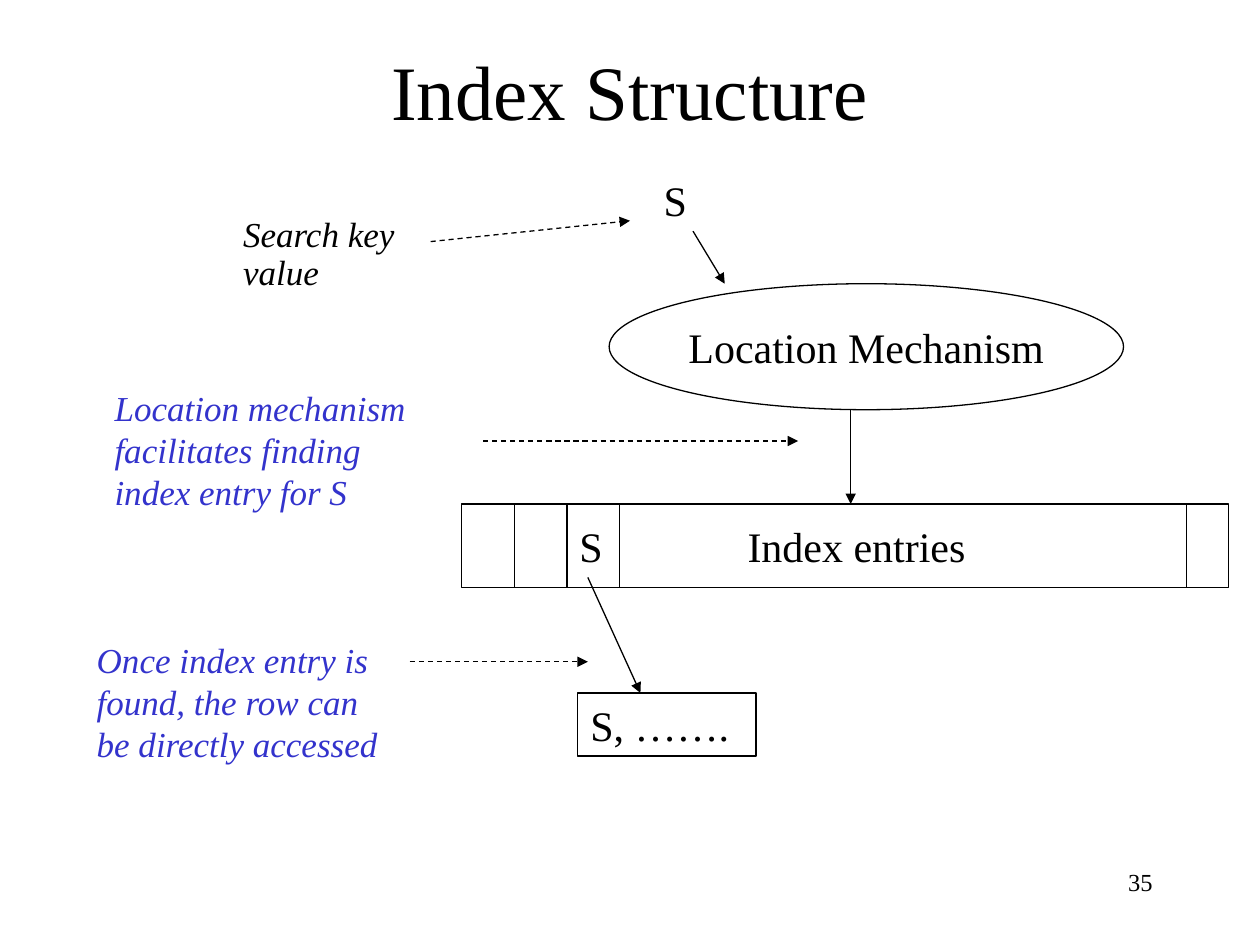
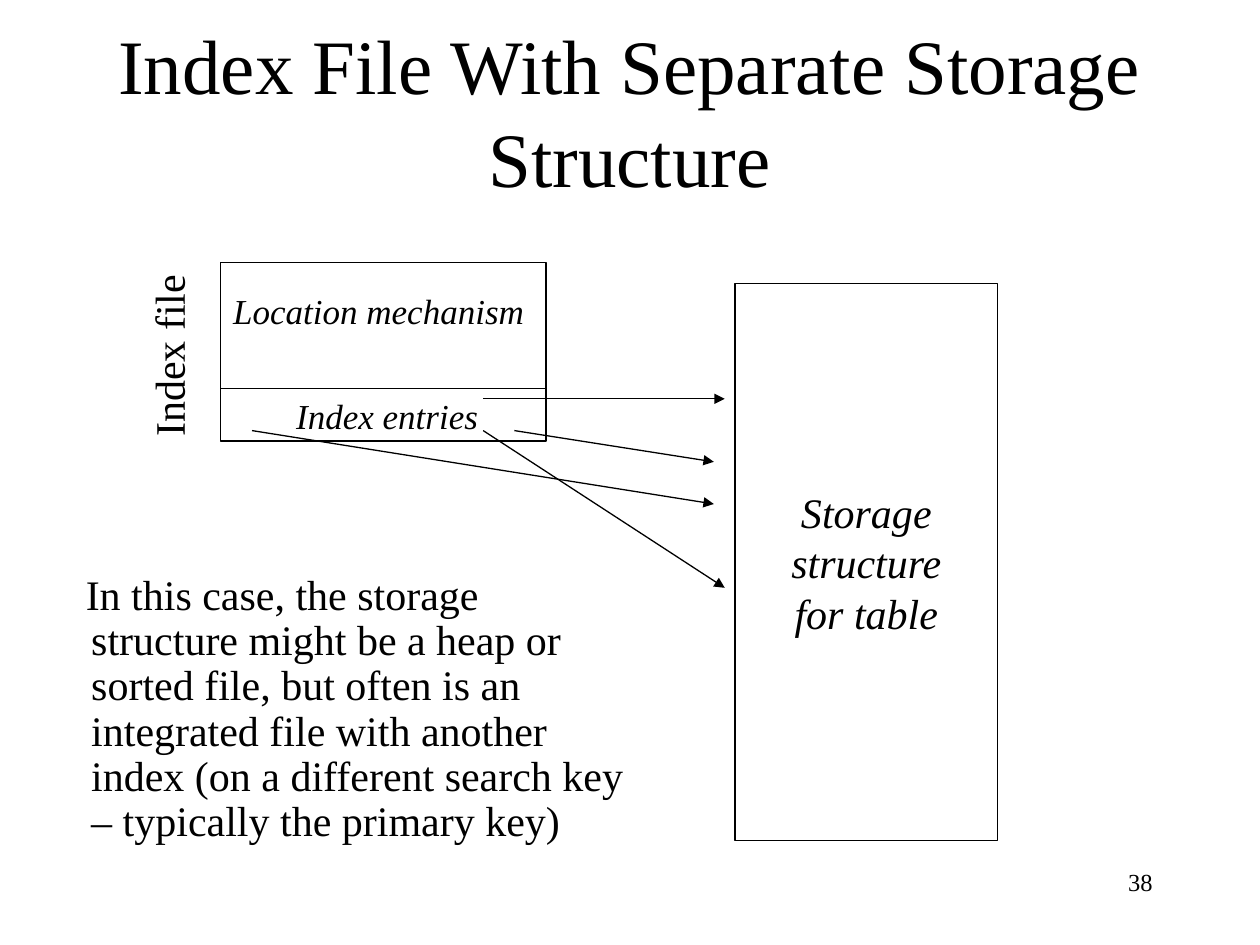
"""Build two slides on index structures and separate storage."""
from lxml import etree
from pptx import Presentation
from pptx import util as u
from pptx.dml.color import RGBColor
from pptx.enum import dml, shapes, text as t
from pptx.oxml.ns import qn

COLORS = {"ink": "000000", "note": "3333CC", "paper": "FFFFFF"}
FONT = "Times New Roman"
LINE_HEIGHT = 1.2


def write(shape, content, size=24, color="ink", italic=False, spacing=1.0,
          align=t.PP_ALIGN.LEFT, anchor=t.MSO_ANCHOR.TOP, wrap=True, margin=0, indent=0):
    frame = shape.text_frame
    frame.word_wrap = wrap
    frame.auto_size = t.MSO_AUTO_SIZE.NONE
    frame.vertical_anchor = anchor
    frame.text = content
    for paragraph in frame.paragraphs:
        properties = paragraph._p.get_or_add_pPr()
        properties.set("marL", str(u.Cm(margin)))
        properties.set("indent", str(u.Cm(indent)))
        paragraph.alignment = align
        paragraph.space_before = u.Pt(0)
        paragraph.line_spacing = u.Pt(round(size * LINE_HEIGHT * spacing, 2))
        for run in paragraph.runs:
            run.font.name = FONT
            run.font.size = u.Pt(size)
            run.font.italic = italic
            run.font.color.rgb = RGBColor.from_string(COLORS[color])


def draw_line(slide, start_x, start_y, end_x, end_y, arrow=True, dashed=False):
    ends = [u.Cm(value) for value in (start_x, start_y, end_x, end_y)]
    connector = slide.shapes.add_connector(shapes.MSO_CONNECTOR.STRAIGHT, *ends)
    connector.line.color.rgb = RGBColor.from_string(COLORS["ink"])
    connector.line.width = u.Pt(0.75)
    if dashed:
        connector.line.dash_style = dml.MSO_LINE.DASH
    if arrow:
        etree.SubElement(connector.line._get_or_add_ln(), qn("a:tailEnd"), type="triangle")
    etree.SubElement(connector._element.spPr, qn("a:effectLst"))


RECTANGLE, OVAL = shapes.MSO_SHAPE.RECTANGLE, shapes.MSO_SHAPE.OVAL
ENTRIES_TOP, ENTRIES_BOTTOM = 10.16, 11.85
ENTRIES_LEFT, ENTRY_WIDTH = 9.31, 1.06
entry_edges = [ENTRIES_LEFT + ENTRY_WIDTH * count for count in (1, 2, 3)] + [23.92]

pages = [
    {
        "number": "35",
        "title": ("Index Structure", 0.85, 1.9),
        "outlines": [
            (OVAL, 12.28, 5.72, 10.37, 2.54, "Location Mechanism", False),
            (RECTANGLE, ENTRIES_LEFT, ENTRIES_TOP, 15.45, 1.69, "", False),
            (RECTANGLE, 11.64, 13.97, 3.6, 1.27, "", False),
        ],
        "labels": [
            (14.82, 10.37, 5.5, 1.27, 0, "Index entries", {}),
            (13.13, 3.39, 1.3, 1.27, 0, "S", {}),
            (4.65, 4.24, 4, 1.78, 0, "Search key\nvalue",
             dict(size=20, italic=True, spacing=0.9)),
            (2.06, 7.67, 6.8, 2.79, 0,
             "Location mechanism\nfacilitates finding\nindex entry for S",
             dict(size=20, italic=True, color="note")),
            (11.43, 10.37, 1.2, 1.27, 0, "S", {}),
            (11.65, 13.97, 3.6, 1.27, 0, "S, …….", {}),
            (1.7, 12.75, 6.55, 2.79, 0,
             "Once index entry is found, the row can be directly accessed",
             dict(size=20, italic=True, color="note")),
        ],
        "dividers": [(x, ENTRIES_TOP, x, ENTRIES_BOTTOM) for x in entry_edges],
        "arrows": [
            (13.97, 4.66, 14.61, 5.72),
            (17.15, 8.26, 17.15, 10.16),
            (11.85, 11.64, 12.91, 13.97),
        ],
        "pointers": [
            (8.68, 4.87, 12.7, 4.45),
            (9.74, 8.89, 16.09, 8.89),
            (8.26, 13.34, 11.85, 13.34),
        ],
    },
    {
        "number": "38",
        "title": ("Index File With Separate Storage Structure", 0.63, 3.18),
        "outlines": [
            (RECTANGLE, 4.45, 5.29, 6.56, 3.6, "", False),
            (RECTANGLE, 14.82, 5.72, 5.29, 11.22, "Storage\nstructure\nfor table", True),
        ],
        "labels": [
            (0.64, 11.43, 12.28, 6.14, 0,
             "In this case, the storage structure might be a heap or sorted file, "
             "but often is an integrated file with another index (on a different "
             "search key – typically the primary key)",
             dict(spacing=0.9, margin=0.95, indent=-0.11)),
            (4.45, 5.72, 6.8, 1.11, 0, "Location mechanism", dict(size=20, italic=True)),
            (5.72, 7.83, 4.5, 1.11, 0, "Index entries", dict(size=20, italic=True)),
            (1.4, 6.43, 3.98, 1.27, 270, "Index file", {}),
        ],
        "dividers": [(4.45, 7.83, 11.01, 7.83)],
        "arrows": [
            (10.37, 8.68, 14.39, 9.31),
            (9.74, 8.68, 14.61, 11.85),
            (9.74, 8.04, 14.61, 8.04),
            (5.08, 8.68, 14.39, 10.16),
        ],
        "pointers": [],
    },
]

presentation = Presentation()
presentation.slide_width, presentation.slide_height = u.Cm(25.4), u.Cm(19.05)

for page in pages:
    slide = presentation.slides.add_slide(presentation.slide_layouts[5])
    heading, top, height = page["title"]
    title = slide.shapes.title
    title.left, title.top = u.Cm(1.9), u.Cm(top)
    title.width, title.height = u.Cm(21.59), u.Cm(height)
    write(title, heading, size=44, align=t.PP_ALIGN.CENTER, anchor=t.MSO_ANCHOR.MIDDLE)

    for kind, left, top, width, height, content, italic in page["outlines"]:
        outline = slide.shapes.add_shape(
            kind, u.Cm(left), u.Cm(top), u.Cm(width), u.Cm(height))
        outline.shadow.inherit = False
        outline.fill.solid()
        outline.fill.fore_color.rgb = RGBColor.from_string(COLORS["paper"])
        outline.line.color.rgb = RGBColor.from_string(COLORS["ink"])
        outline.line.width = u.Pt(0.75)
        if content:
            write(outline, content, italic=italic, align=t.PP_ALIGN.CENTER,
                  anchor=t.MSO_ANCHOR.MIDDLE, wrap=False)

    page_number = (18.2, 17.36, 5.29, 1.27, 0, page["number"],
                   dict(size=14, align=t.PP_ALIGN.RIGHT))
    for left, top, width, height, rotation, content, style in page["labels"] + [page_number]:
        label = slide.shapes.add_textbox(u.Cm(left), u.Cm(top), u.Cm(width), u.Cm(height))
        label.rotation = rotation
        write(label, content, **style)

    for ends in page["dividers"]:
        draw_line(slide, *ends, arrow=False)
    for ends in page["arrows"]:
        draw_line(slide, *ends)
    for ends in page["pointers"]:
        draw_line(slide, *ends, dashed=True)

presentation.save("out.pptx")
